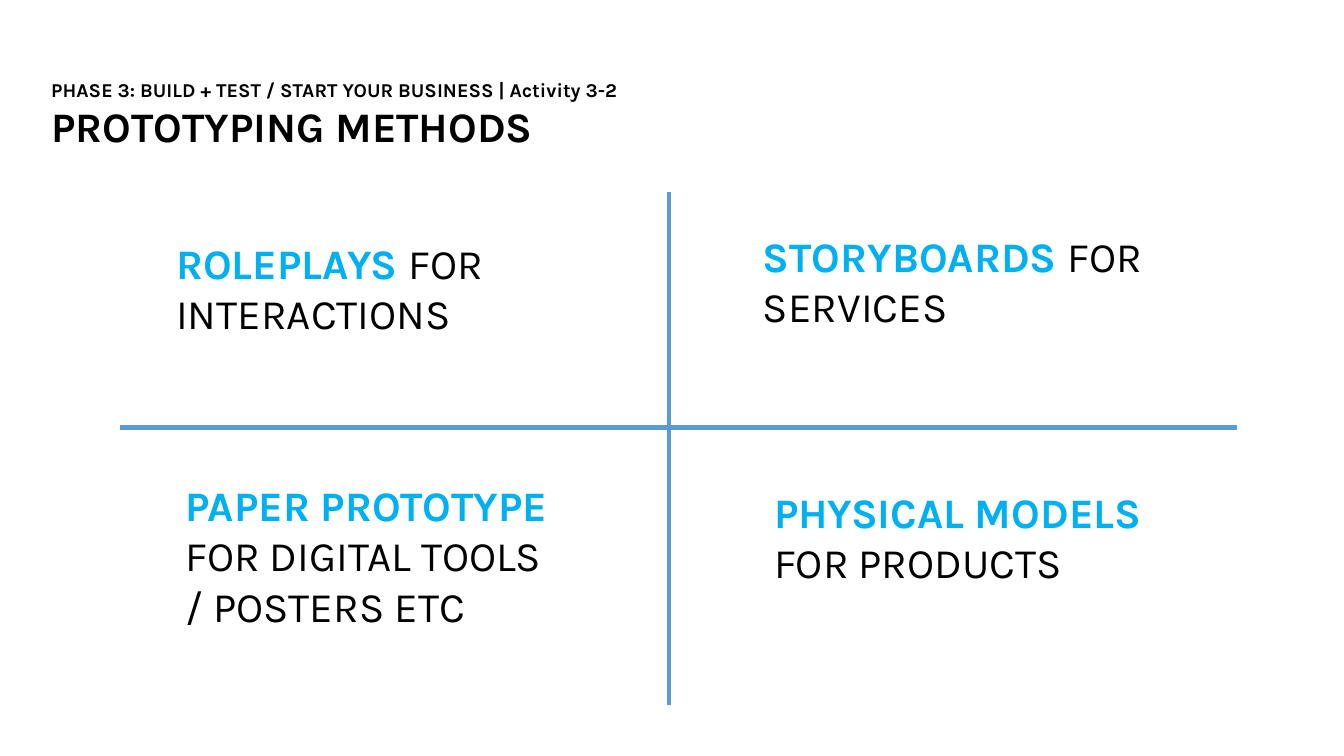
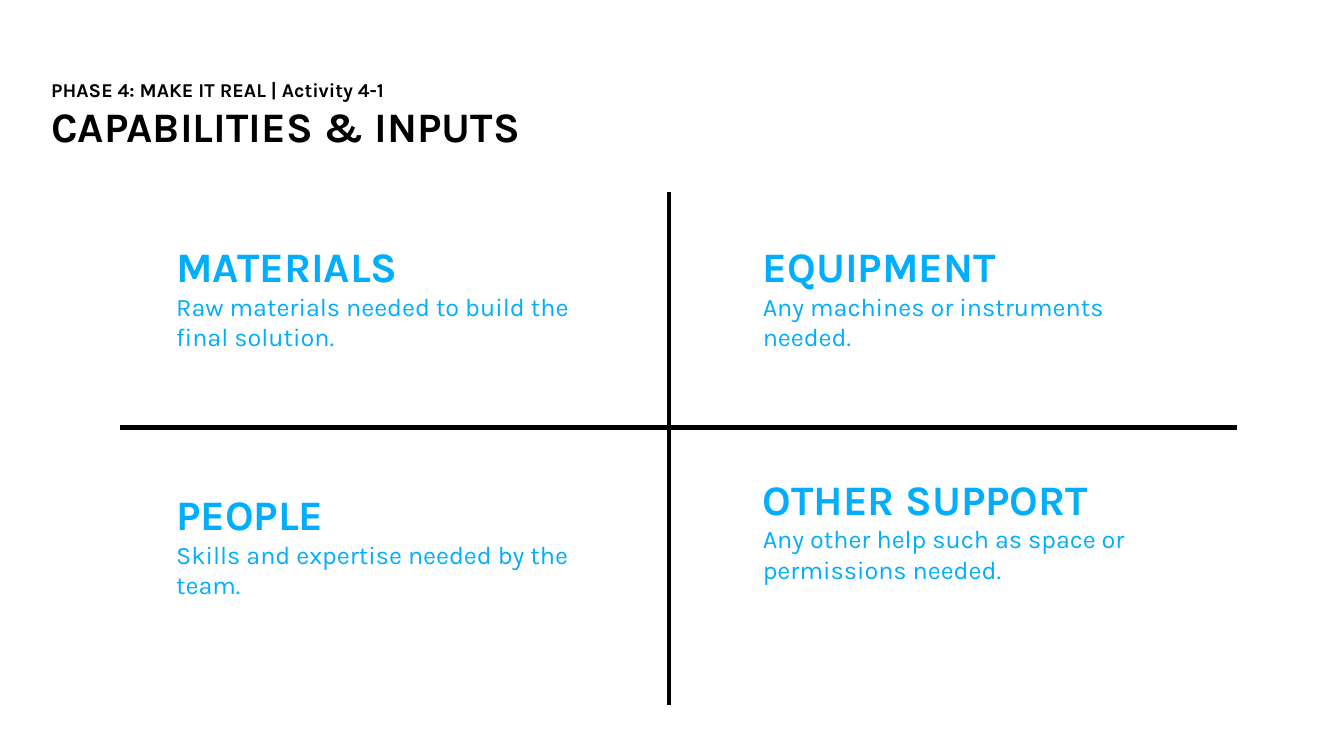
from lxml import etree
from pptx import Presentation
from pptx.dml.color import RGBColor
from pptx.enum.shapes import MSO_CONNECTOR
from pptx.enum.text import MSO_ANCHOR
from pptx.oxml.ns import qn
from pptx.util import Pt

STRAIGHT = MSO_CONNECTOR.STRAIGHT
TOP, MIDDLE = MSO_ANCHOR.TOP, MSO_ANCHOR.MIDDLE

FONT = "Karla"
BLACK = RGBColor(0x00, 0x00, 0x00)
STEEL = RGBColor(0x5B, 0x9B, 0xD5)
CYAN = RGBColor(0x00, 0xB0, 0xF0)
AZURE = RGBColor(0x00, 0xAE, 0xFD)

PHASE_SIZE, HEADING_SIZE, BODY_SIZE = 14, 30, 18
BODY_LINE = 21.5
INSET = 7.2
HEADER_AREA = (29.5, 51.8, 722, 63.4)
QUADRANT_SIZE = (312.5, 79.9)
AXES = [((478, 137.5), (478, 503.5)), ((85.7, 305.3), (883.5, 305.3))]
LEFT_COLUMN, RIGHT_COLUMN = 118.8, 537.8
UPPER_ROW, LOWER_ROW = 182.2, 348.5


def bold(text, color, size=HEADING_SIZE):
    return text, size, True, color


def plain(text, color, size=HEADING_SIZE):
    return text, size, False, color


def topic(name, description):
    return [[bold(name, AZURE)], [plain(description, AZURE, BODY_SIZE)]]


# Each quadrant: left, top, body lines kept free below the text, paragraphs of spans
PAGES = [
    {
        "phase": "PHASE 3: BUILD + TEST / START YOUR BUSINESS | Activity 3-2",
        "title": "PROTOTYPING METHODS",
        "axis_color": STEEL,
        "quadrants": [
            (LEFT_COLUMN, 176.4, 1,
             [[bold("ROLEPLAYS ", CYAN), plain("FOR", BLACK)],
              [plain("INTERACTIONS", BLACK)]]),
            (RIGHT_COLUMN, UPPER_ROW, 2,
             [[bold("STORYBOARDS ", CYAN), plain("FOR SERVICES", BLACK)]]),
            (125.3, 367.2, 1,
             [[bold("PAPER PROTOTYPE ", CYAN), plain("FOR DIGITAL TOOLS", BLACK)],
              [plain("/ POSTERS ETC", BLACK)]]),
            (545.8, 354.2, 1,
             [[bold("PHYSICAL MODELS ", CYAN), plain("FOR PRODUCTS", BLACK)]]),
        ],
    },
    {
        "phase": "PHASE 4: MAKE IT REAL | Activity 4-1",
        "title": "CAPABILITIES & INPUTS",
        "axis_color": BLACK,
        "quadrants": [
            (LEFT_COLUMN, UPPER_ROW, 1,
             topic("MATERIALS", "Raw materials needed to build the final solution.")),
            (RIGHT_COLUMN, UPPER_ROW, 1,
             topic("EQUIPMENT", "Any machines or instruments needed.")),
            (LEFT_COLUMN, LOWER_ROW, 0,
             topic("PEOPLE", "Skills and expertise needed by the team.")),
            (RIGHT_COLUMN, LOWER_ROW, 1,
             topic("OTHER SUPPORT", "Any other help such as space or permissions needed.")),
        ],
    },
]


def add_text(page, area, paragraphs, anchor, top_inset, bottom_inset):
    box = page.shapes.add_textbox(*map(Pt, area))
    frame = box.text_frame
    frame.word_wrap = True
    frame.vertical_anchor = anchor
    frame.margin_left = frame.margin_right = Pt(INSET)
    frame.margin_top, frame.margin_bottom = Pt(top_inset), Pt(bottom_inset)
    for index, spans in enumerate(paragraphs):
        para = frame.add_paragraph() if index else frame.paragraphs[0]
        for text, size, is_bold, color in spans:
            span = para.add_run()
            span.text = text
            span.font.name = FONT
            span.font.size = Pt(size)
            span.font.bold = is_bold
            span.font.color.rgb = color


def add_header(page, phase, title):
    paragraphs = [[bold(phase, BLACK, PHASE_SIZE)], [bold(title, BLACK)]]
    add_text(page, HEADER_AREA, paragraphs, TOP, INSET / 2, INSET / 2)


def add_axes(page, color):
    for start, end in AXES:
        axis = page.shapes.add_connector(STRAIGHT, *map(Pt, start + end))
        axis.line.color.rgb = color
        axis.line.width = Pt(3)
        etree.SubElement(axis._element.spPr, qn("a:effectLst"))


def add_quadrant(page, left, top, free_lines, paragraphs):
    add_text(page, (left, top, *QUADRANT_SIZE), paragraphs, MIDDLE,
             INSET, INSET + free_lines * BODY_LINE)


def main():
    deck = Presentation()
    deck.slide_width, deck.slide_height = Pt(960), Pt(540)
    blank = deck.slide_layouts[6]
    for content in PAGES:
        page = deck.slides.add_slide(blank)
        add_header(page, content["phase"], content["title"])
        add_axes(page, content["axis_color"])
        for quadrant in content["quadrants"]:
            add_quadrant(page, *quadrant)
    deck.save("out.pptx")


if __name__ == "__main__":
    main()
